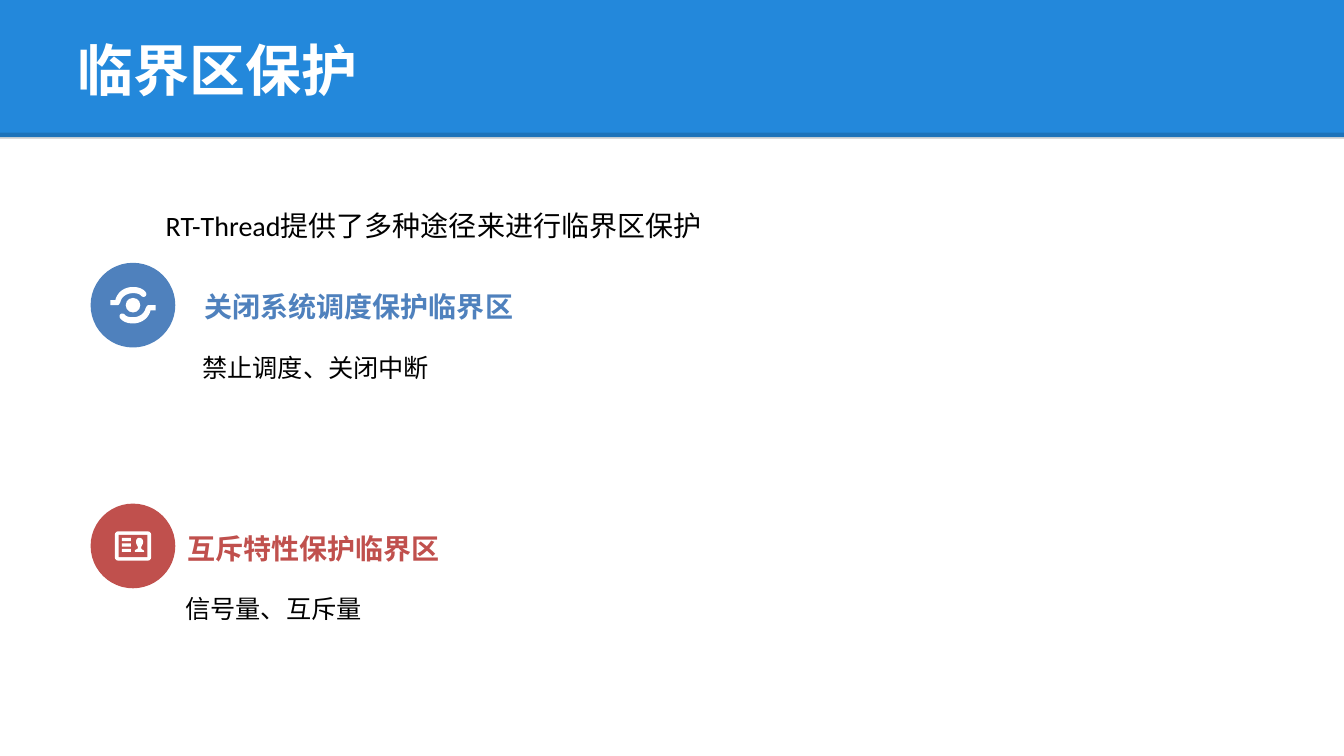
"""Build the slide on ways to protect a critical section."""
from dataclasses import dataclass
from typing import Callable

from lxml.etree import SubElement
from pptx import Presentation
from pptx.dml.color import RGBColor
from pptx.enum.shapes import MSO_CONNECTOR as Connector, MSO_SHAPE as Preset
from pptx.enum.text import MSO_ANCHOR as Anchor, PP_ALIGN as Align
from pptx.oxml.ns import qn
from pptx.util import Pt

WIDTH, HEIGHT = 960, 540
BLUE, RED, WHITE, BLACK = "4F81BD", "C0504D", "FFFFFF", "000000"
BADGE_X, BADGE_SIZE = 95, 60.5
Outline = list[tuple[float, ...]]

SWIRL: Outline = [
    (-9, -2.2),
    (-8.3, -5.8, -4.7, -8.6, 0, -8.6),
    (2.2, -8.6, 4.7, -8.3, 6.1, -6.5),
    (6.8, -5.8, 8.3, -5.8, 9, -6.5),
    (9.7, -7.2, 9.7, -8.6, 9, -9.4),
    (6.8, -12.2, 3.2, -13, 0, -13),
    (-6.1, -13, -11.2, -9.4, -12.6, -3.6),
    (-16.2, -3.6), (-16.2, 0), (-11.2, 0),
    (-9.7, 0, -9.7, -1.4, -9, -2.2),
]
PERSON: Outline = [
    (7.2, 2.9),
    (7.2, 2.9, 5.8, 2.2, 5.8, 1.4),
    (5.8, 0, 7.2, -0.7, 7.2, -2.9),
    (7.2, -4.3, 6.5, -5.8, 4.3, -5.8),
    (2.9, -5.8, 2.2, -4.3, 2.2, -2.9),
    (2.2, -0.7, 3.6, 0, 3.6, 1.4),
    (3.6, 2.2, 1.4, 2.9, 1.4, 2.9),
    (1.4, 4.3), (7.9, 4.3),
    (7.9, 4.3, 7.9, 2.9, 7.2, 2.9),
]


@dataclass
class Method:
    heading: str
    detail: str
    color: str
    badge_y: float
    text_left: float
    heading_top: float
    detail_top: float
    draw_icon: Callable


def rgb(color: str) -> RGBColor:
    return RGBColor.from_string(color)


def paint(shape, color: str) -> None:
    shape.shadow.inherit = False
    shape.fill.solid()
    shape.fill.fore_color.rgb = rgb(color)
    shape.line.fill.background()


def add_preset(shapes, preset, left: float, top: float, width: float,
               height: float, color: str):
    shape = shapes.add_shape(preset, Pt(left), Pt(top), Pt(width), Pt(height))
    paint(shape, color)
    return shape


def trace(outline: Outline, steps: int = 10) -> list[tuple[float, float]]:
    points = [outline[0]]
    for segment in outline[1:]:
        if len(segment) == 2:
            points.append(segment)
            continue
        x0, y0 = points[-1]
        x1, y1, x2, y2, x3, y3 = segment
        for step in range(1, steps + 1):
            t = step / steps
            a, b, c, d = (1 - t) ** 3, 3 * t * (1 - t) ** 2, 3 * t * t * (1 - t), t ** 3
            points.append((a * x0 + b * x1 + c * x2 + d * x3,
                           a * y0 + b * y1 + c * y2 + d * y3))
    return points


def add_outline(shapes, points: list[tuple[float, float]], x: float, y: float) -> None:
    start, *rest = [(Pt(x + dx), Pt(y + dy)) for dx, dy in points]
    builder = shapes.build_freeform(*start)
    builder.add_line_segments(rest, close=True)
    paint(builder.convert_to_shape(), WHITE)


def draw_exchange(shapes, x: float, y: float, color: str) -> None:
    add_preset(shapes, Preset.OVAL, x - 5.2, y - 5.2, 10.4, 10.4, WHITE)
    swirl = trace(SWIRL)
    for turn in (1, -1):
        add_outline(shapes, [(turn * dx, turn * dy) for dx, dy in swirl], x, y)


def draw_card(shapes, x: float, y: float, color: str) -> None:
    frame = add_preset(shapes, Preset.ROUNDED_RECTANGLE, x - 13, y - 10.5, 26, 21, WHITE)
    frame.adjustments[0] = 0.12
    add_preset(shapes, Preset.RECTANGLE, x - 10.3, y - 8, 20.6, 16, color)
    for row in range(3):
        add_preset(shapes, Preset.RECTANGLE, x - 8, y - 5.7 + 3.9 * row, 6.6, 2.2, WHITE)
    add_outline(shapes, trace(PERSON), x, y)


def add_text(slide, text: str, left: float, top: float, width: float, height: float,
             size: float, color: str, bold: bool = False,
             inset: tuple[float, float] = (7.2, 3.6)) -> None:
    frame = slide.shapes.add_textbox(Pt(left), Pt(top), Pt(width), Pt(height)).text_frame
    frame.word_wrap = True
    frame.margin_left = frame.margin_right = Pt(inset[0])
    frame.margin_top = frame.margin_bottom = Pt(inset[1])
    paragraph = frame.paragraphs[0]
    paragraph.text = text
    style(paragraph, "Calibri", size, color, bold)


def style(paragraph, name: str, size: float, color: str, bold: bool) -> None:
    font = paragraph.font
    font.name, font.size, font.bold = name, Pt(size), bold
    font.color.rgb = rgb(color)


def add_header(slide, text: str) -> None:
    add_preset(slide.shapes, Preset.RECTANGLE, 0, 0, WIDTH, 98, "2388DB")
    rule = slide.shapes.add_connector(Connector.STRAIGHT, 0, Pt(97), Pt(WIDTH), Pt(97))
    rule.line.width = Pt(4.5)
    rule.line.color.rgb = rgb(BLACK)
    properties = rule._element.spPr
    SubElement(next(properties.iter(qn("a:srgbClr"))), qn("a:alpha"), val="15000")
    SubElement(properties, qn("a:effectLst"))

    title = slide.shapes.title
    slide.shapes._spTree.append(title._element)
    title.left, title.top, title.width, title.height = Pt(48), Pt(4.5), Pt(864), Pt(90)
    title.text_frame.vertical_anchor = Anchor.MIDDLE
    paragraph = title.text_frame.paragraphs[0]
    paragraph.text = text
    paragraph.alignment = Align.LEFT
    style(paragraph, "Arial", 40, WHITE, True)


def add_method(slide, method: Method) -> None:
    add_text(slide, method.heading, method.text_left, method.heading_top, 265, 29.5,
             20, method.color, True, (8.64, 4.32))
    badge = slide.shapes.add_group_shape().shapes
    add_preset(badge, Preset.OVAL, BADGE_X - BADGE_SIZE / 2,
               method.badge_y - BADGE_SIZE / 2, BADGE_SIZE, BADGE_SIZE, method.color)
    method.draw_icon(badge, BADGE_X, method.badge_y, method.color)
    add_text(slide, method.detail, method.text_left, method.detail_top, 345.6, 29,
             18, BLACK)


def main() -> None:
    deck = Presentation()
    deck.slide_width, deck.slide_height = Pt(WIDTH), Pt(HEIGHT)
    slide = deck.slides.add_slide(deck.slide_layouts.get_by_name("Title Only"))
    add_header(slide, "临界区保护")
    methods = [
        Method("关闭系统调度保护临界区", "禁止调度、关闭中断", BLUE,
               218, 137.5, 202.3, 248.4, draw_exchange),
        Method("互斥特性保护临界区", "信号量、互斥量", RED,
               390, 125.3, 375.1, 420, draw_card),
    ]
    for method in methods:
        add_method(slide, method)
    add_text(slide, "RT-Thread提供了多种途径来进行临界区保护", 111.3, 145.4, 398, 31.5,
             20, BLACK)
    deck.save("out.pptx")


if __name__ == "__main__":
    main()
